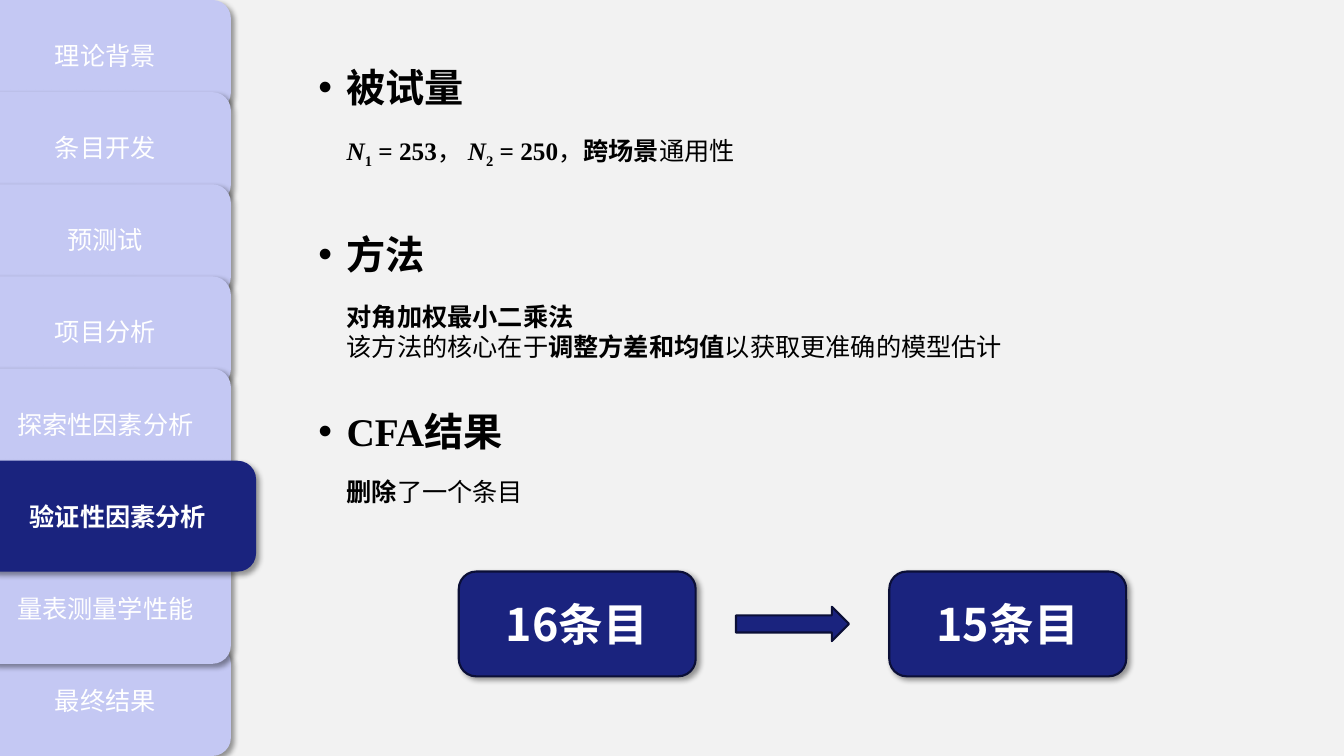
"""Build the confirmatory factor analysis slide with its side tabs."""
from lxml import etree
from pptx import Presentation
from pptx import util as u
from pptx.dml.color import RGBColor
from pptx.enum import shapes, text
from pptx.oxml.ns import qn

SERIF, SANS = "Times New Roman", "Noto Sans CJK SC"
NAVY, LILAC, EDGE, WHITE, BLACK = "1A237E", "C4C8F3", "0B0F37", "FFFFFF", "000000"

TABS = ["理论背景", "条目开发", "预测试", "项目分析", "探索性因素分析",
        "验证性因素分析", "量表测量学性能", "最终结果"]
CURRENT = 5
STACKING = [0, 1, 2, 7, 6, 3, 4, 5]
SANS_TABS = {CURRENT, 7}

# Run styles: b bold, i italic, s subscript
SECTIONS = [
    ("被试量", 0.58, (1.24, 8.81, 0.49), 28,
     [[("N", "bi"), ("1", "bs"), (" = 253", "b"), ("，", ""), (" N", "bi"),
       ("2", "bs"), (" = 250", "b"), ("，", ""), ("跨场景", "b"), ("通用性", "")]]),
    ("方法", 2.24, (2.94, 6.78, 0.71), None,
     [[("对角加权最小二乘法", "b")],
      [("该方法的核心在于", ""), ("调整方差和均值", "b"), ("以获取更准确的模型估计", "")]]),
    ("CFA结果", 3.99, (4.68, 6.78, 0.4), None,
     [[("删除", "b"), ("了一个条目", "")]]),
]
COUNTS = ["16条目", "15条目"]

WIDTH, HEIGHT = 13.33, 7.5
TAB_LEFT, TAB_W, TAB_H, CURRENT_EXTRA = -0.2, 2.49, 1.1, 0.25
TAB_STEP = (HEIGHT - TAB_H) / (len(TABS) - 1)
HEAD_LEFT, INDENT, HANG = 2.84, 0.5, 0.28
COUNT_LEFT, COUNT_TOP, COUNT_W, COUNT_H, COUNT_STEP = 4.55, 5.67, 2.35, 1.04, 4.27
ARROW_W, ARROW_H = 1.12, 0.34


def color(value):
    return RGBColor.from_string(value)


def inches(*values):
    return [u.Inches(v) for v in values]


def style_run(run, size, ink, font=SERIF, style=""):
    run.font.size = u.Pt(size)
    run.font.name = font
    run.font.bold = "b" in style
    run.font.italic = "i" in style
    run.font.color.rgb = color(ink)
    props = run.font._element
    if "s" in style:
        props.set("baseline", "-25000")
    east_asian = etree.Element(qn("a:ea"), typeface=SANS)
    props.find(qn("a:latin")).addnext(east_asian)


def add_shadow(shape):
    effects = shape._element.spPr.find(qn("a:effectLst"))
    outer = etree.SubElement(effects, qn("a:outerShdw"), blurRad=str(u.Pt(4)),
                             dist=str(u.Pt(3)), dir=str(45 * 60000),
                             algn="tl", rotWithShape="0")
    shade = etree.SubElement(outer, qn("a:srgbClr"), val=BLACK)
    etree.SubElement(shade, qn("a:alpha"), val="40000")


def add_block(slide, kind, box, fill, edge=None):
    block = slide.shapes.add_shape(kind, *inches(*box))
    block.shadow.inherit = False
    block.fill.solid()
    block.fill.fore_color.rgb = color(fill)
    if edge:
        block.line.color.rgb = color(edge)
        block.line.width = u.Pt(1.5)
    else:
        block.line.fill.background()
    return block


def add_label(slide, box, label, size, fill, font, style="", edge=None):
    block = add_block(slide, shapes.MSO_SHAPE.ROUNDED_RECTANGLE, box, fill, edge)
    add_shadow(block)
    frame = block.text_frame
    frame.vertical_anchor = text.MSO_ANCHOR.MIDDLE
    frame.text = label
    paragraph = frame.paragraphs[0]
    paragraph.alignment = text.PP_ALIGN.CENTER
    style_run(paragraph.runs[0], size, WHITE, font, style)


def add_text(slide, box, lines, size, spacing=None):
    frame = slide.shapes.add_textbox(*inches(*box)).text_frame
    frame.word_wrap = True
    frame.auto_size = text.MSO_AUTO_SIZE.SHAPE_TO_FIT_TEXT
    for number, line in enumerate(lines):
        paragraph = frame.add_paragraph() if number else frame.paragraphs[0]
        if spacing:
            paragraph.line_spacing = u.Pt(spacing)
        for words, style in line:
            run = paragraph.add_run()
            run.text = words
            style_run(run, size, BLACK, style=style)
    return frame


def add_heading(slide, top, words):
    frame = add_text(slide, (HEAD_LEFT, top, 8.46, 0.57), [[(words, "b")]], 28)
    props = frame.paragraphs[0]._p.get_or_add_pPr()
    props.set("marL", str(u.Inches(INDENT)))
    props.set("indent", str(-u.Inches(HANG)))
    etree.SubElement(props, qn("a:buFont"), typeface="Arial")
    etree.SubElement(props, qn("a:buChar"), char="•")


def main():
    deck = Presentation()
    deck.slide_width, deck.slide_height = inches(WIDTH, HEIGHT)
    slide = deck.slides.add_slide(deck.slide_layouts[6])
    slide.background.fill.solid()
    slide.background.fill.fore_color.rgb = color("F2F2F2")

    for heading, top, (body_top, body_w, body_h), spacing, lines in SECTIONS:
        add_heading(slide, top, heading)
        add_text(slide, (HEAD_LEFT + INDENT, body_top, body_w, body_h), lines, 18, spacing)

    for row in STACKING:
        current = row == CURRENT
        box = (TAB_LEFT, row * TAB_STEP, TAB_W + CURRENT_EXTRA * current, TAB_H)
        add_label(slide, box, TABS[row], 18, NAVY if current else LILAC,
                  SANS if row in SANS_TABS else SERIF, "b" if current else "")

    for column, count in enumerate(COUNTS):
        box = (COUNT_LEFT + column * COUNT_STEP, COUNT_TOP, COUNT_W, COUNT_H)
        add_label(slide, box, count, 32, NAVY, SANS, "b", EDGE)
    arrow_left = COUNT_LEFT + (COUNT_STEP + COUNT_W - ARROW_W) / 2
    arrow_top = COUNT_TOP + (COUNT_H - ARROW_H) / 2
    add_block(slide, shapes.MSO_SHAPE.RIGHT_ARROW,
              (arrow_left, arrow_top, ARROW_W, ARROW_H), NAVY, EDGE)

    deck.save("out.pptx")


if __name__ == "__main__":
    main()
